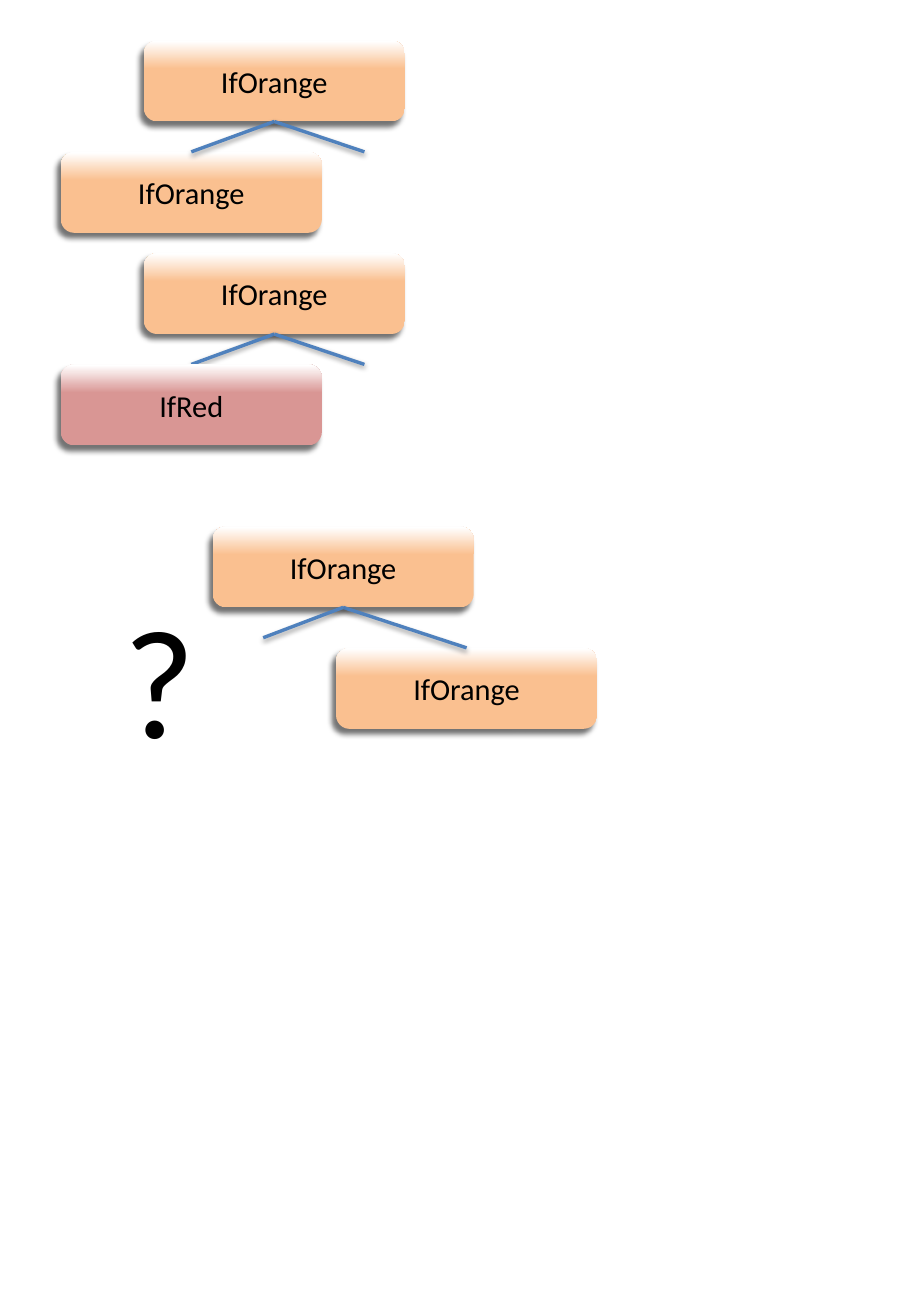
from dataclasses import dataclass
from lxml.etree import SubElement
from pptx import Presentation
from pptx.dml.color import RGBColor
from pptx.enum.shapes import MSO_CONNECTOR, MSO_SHAPE
from pptx.enum.text import MSO_ANCHOR, MSO_AUTO_SIZE, PP_ALIGN
from pptx.oxml.ns import qn
from pptx.util import Inches, Pt


@dataclass(frozen=True)
class Theme:
    font: str = "Calibri"
    ink: str = "000000"
    white: str = "FFFFFF"
    orange: str = "FAC090"
    red: str = "D99694"
    branch: str = "4F81BD"
    label_size: int = 18
    mark_size: int = 92
    branch_width: int = 2
    # opacity %, blur pt, distance pt, direction in degrees
    box_shadow: tuple = (54, 3.2, 4, 128)
    branch_shadow: tuple = (38, 3.1, 1.6, 90)


COLS, ROWS = 90, 130  # twelve grid cells to the inch
BOX_W, BOX_H = 25.8, 8


class Canvas:
    def __init__(self, prs, theme):
        self.theme = theme
        self.col, self.row = prs.slide_width / COLS, prs.slide_height / ROWS
        self.shapes = prs.slides.add_slide(prs.slide_layouts[6]).shapes

    def place(self, x, y):
        return round(x * self.col), round(y * self.row)

    def shadow(self, sp, opacity, blur, dist, angle):
        effects = SubElement(sp._element.spPr, qn("a:effectLst"))
        outer = SubElement(effects, qn("a:outerShdw"), blurRad=str(Pt(blur)),
                           dist=str(Pt(dist)), dir=str(angle * 60000),
                           rotWithShape="0")
        color = SubElement(outer, qn("a:srgbClr"), val=self.theme.ink)
        SubElement(color, qn("a:alpha"), val=str(opacity * 1000))

    def label(self, tf, text, size, align):
        p = tf.paragraphs[0]
        p.text, p.alignment = text, align
        p.font.name, p.font.size = self.theme.font, Pt(size)
        p.font.color.rgb = RGBColor.from_string(self.theme.ink)

    def box(self, x, y, text, color):
        sp = self.shapes.add_shape(MSO_SHAPE.ROUNDED_RECTANGLE,
                                   *self.place(x, y), *self.place(BOX_W, BOX_H))
        sp.fill.gradient()
        sp.fill.gradient_angle = 90
        stops = ((0.65, color), (0.99, self.theme.white))
        for stop, (position, rgb) in zip(sp.fill.gradient_stops, stops):
            stop.position = position
            stop.color.rgb = RGBColor.from_string(rgb)
        sp.line.fill.background()
        self.shadow(sp, *self.theme.box_shadow)
        sp.text_frame.vertical_anchor = MSO_ANCHOR.MIDDLE
        self.label(sp.text_frame, text, self.theme.label_size, PP_ALIGN.CENTER)

    def branch(self, start, end):
        line = self.shapes.add_connector(MSO_CONNECTOR.STRAIGHT,
                                         *self.place(*start), *self.place(*end))
        line.line.color.rgb = RGBColor.from_string(self.theme.branch)
        line.line.width = Pt(self.theme.branch_width)
        self.shadow(line, *self.theme.branch_shadow)

    def tree(self, parent, child, stub, child_on_top=False):
        """Join a parent box to its child box and to an open branch end."""
        def branches():
            fork = parent[0] + BOX_W / 2, parent[1] + BOX_H
            for end in ((child[0] + BOX_W / 2, child[1]), stub):
                self.branch(fork, end)

        self.box(*parent)
        if child_on_top:
            branches()
        self.box(*child)
        if not child_on_top:
            branches()

    def mark(self, x, y, w, h, text):
        tf = self.shapes.add_textbox(*self.place(x, y),
                                     *self.place(w, h)).text_frame
        tf.word_wrap = True
        tf.auto_size = MSO_AUTO_SIZE.SHAPE_TO_FIT_TEXT
        self.label(tf, text, self.theme.mark_size, PP_ALIGN.LEFT)


prs = Presentation()
prs.slide_width, prs.slide_height = Inches(COLS / 12), Inches(ROWS / 12)
theme = Theme()
s = Canvas(prs, theme)
orange, red = ("IfOrange", theme.orange), ("IfRed", theme.red)

# Child on the left: same colour, then a different one
for top, kind, on_top in ((4, orange, False), (25, red, True)):
    s.tree((14.2, top, *orange), (6, top + 11, *kind), (36, top + 11), on_top)

# Child on the right, with the left branch unknown
s.tree((21, 52, *orange), (33.2, 64, *orange), (26, 63))
s.mark(11, 57, 15, 19.8, "?")

prs.save("out.pptx")
